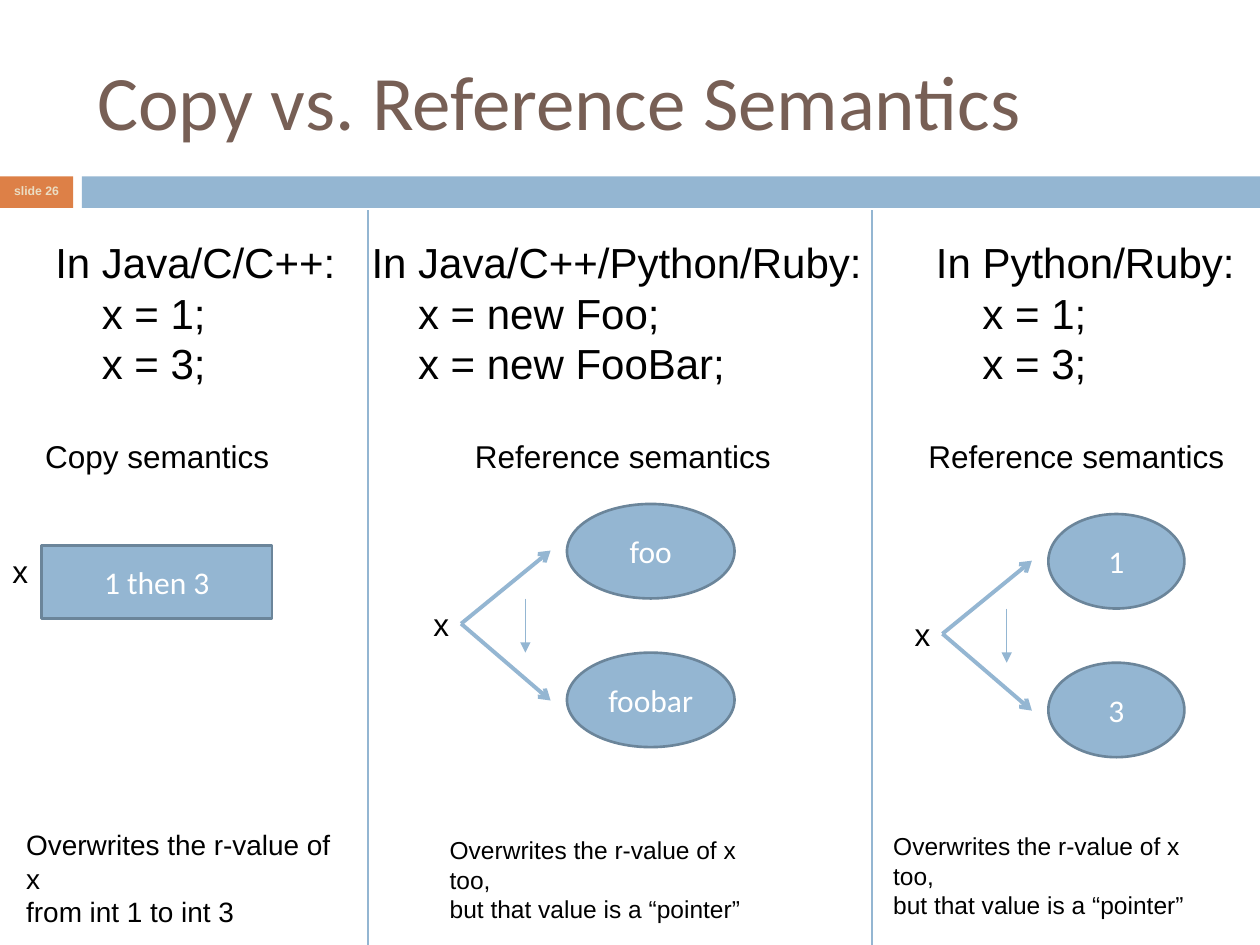
from lxml import etree
from pptx import Presentation
from pptx.dml.color import RGBColor
from pptx.enum.shapes import MSO_CONNECTOR, MSO_SHAPE
from pptx.enum.text import MSO_ANCHOR, MSO_AUTO_SIZE, PP_ALIGN
from pptx.oxml.ns import qn
from pptx.util import Inches, Pt

RECTANGLE, OVAL = MSO_SHAPE.RECTANGLE, MSO_SHAPE.OVAL
STRAIGHT = MSO_CONNECTOR.STRAIGHT
LEFT, CENTER = PP_ALIGN.LEFT, PP_ALIGN.CENTER
MIDDLE = MSO_ANCHOR.MIDDLE
GROW, FIXED = MSO_AUTO_SIZE.SHAPE_TO_FIT_TEXT, MSO_AUTO_SIZE.NONE

BLUE, OUTLINE, ORANGE = "94B6D2", "6B859A", "DD8047"
BROWN, SAND, BLACK, WHITE = "775F55", "EBDDC3", "000000", "FFFFFF"

TITLE_FONT = {"name": "Calibri", "size": Pt(44)}
NUMBER_FONT = {"name": "Arial", "size": Pt(7), "bold": True}
NODE_FONT = {"name": "Calibri", "size": Pt(18)}


def color(value):
    return RGBColor.from_string(value)


def write(frame, lines, font, ink, align=LEFT):
    """Put one paragraph per line into a text frame."""
    for index, line in enumerate(lines):
        para = frame.add_paragraph() if index else frame.paragraphs[0]
        para.alignment = align
        span = para.add_run()
        span.text = line
        for name, value in font.items():
            setattr(span.font, name, value)
        span.font.color.rgb = color(ink)


def add_title(page, text):
    title = page.shapes.title
    title.left, title.top = Inches(0.67), Inches(0.25)
    title.width, title.height = Inches(8.92), Inches(1.08)
    title.text_frame.auto_size = FIXED
    title.text_frame.vertical_anchor = MIDDLE
    write(title.text_frame, [text], TITLE_FONT, BROWN)


def add_label(page, left, top, width, height, size, *lines):
    box = page.shapes.add_textbox(
        Inches(left), Inches(top), Inches(width), Inches(height))
    box.text_frame.word_wrap = False
    box.text_frame.auto_size = GROW
    write(box.text_frame, lines, {"name": "Arial", "size": Pt(size)}, BLACK)


def add_block(page, kind, left, top, width, height, fill, outline=None):
    block = page.shapes.add_shape(
        kind, Inches(left), Inches(top), Inches(width), Inches(height))
    block.shadow.inherit = False
    block.fill.solid()
    block.fill.fore_color.rgb = color(fill)
    if outline:
        block.line.color.rgb = color(outline)
        block.line.width = Pt(1.5)
    else:
        block.line.fill.background()
    return block


def add_node(page, kind, left, top, width, height, text):
    node = add_block(page, kind, left, top, width, height, BLUE, OUTLINE)
    node.text_frame.vertical_anchor = MIDDLE
    write(node.text_frame, [text], NODE_FONT, WHITE, CENTER)


def add_line(page, start, end, weight, head=None):
    line = page.shapes.add_connector(
        STRAIGHT, *(Inches(value) for value in (*start, *end)))
    line.line.color.rgb = color(BLUE)
    line.line.width = Pt(weight)
    if head:
        stroke = line.line._get_or_add_ln()
        etree.SubElement(stroke, qn("a:tailEnd"), type=head)
    etree.SubElement(line._element.spPr, qn("a:effectLst"))


def add_band(page):
    """Slide number tab and the bar beside it."""
    add_block(page, RECTANGLE, 0, 1.4, 0.58, 0.25, ORANGE)
    add_block(page, RECTANGLE, 0.65, 1.4, 9.35, 0.25, BLUE)
    box = page.shapes.add_textbox(0, Inches(1.39), Inches(0.58), Inches(0.27))
    box.text_frame.word_wrap = True
    box.text_frame.vertical_anchor = MIDDLE
    write(box.text_frame, ["slide 26"], NUMBER_FONT, SAND, CENTER)
    box.text_frame.paragraphs[0].line_spacing = 0.8


def add_references(page, left, top, node_width, before, after):
    """Variable x pointing first at one object, then at another."""
    step = 1.18
    origin = (left + 0.32, top + 0.95)
    add_label(page, left, top + 0.75, 0.32, 0.4, 18, "x")
    for text, offset, tip in ((before, 0, 0.37), (after, step, 1.56)):
        add_node(page, OVAL, left + 1.16, top + offset, node_width, 0.75, text)
        add_line(page, origin, (left + 1.03, top + tip), 2.25, "arrow")
    middle = left + 0.83
    add_line(page, (middle, top + 0.75), (middle, top + step), 0.79, "triangle")


def main():
    deck = Presentation()
    deck.slide_width, deck.slide_height = Inches(10), Inches(7.5)
    page = deck.slides.add_slide(deck.slide_layouts[5])
    add_band(page)
    add_title(page, "Copy vs. Reference Semantics")

    # Column dividers
    for x in (2.92, 6.92):
        add_line(page, (x, 1.67), (x, 7.5), 0.79)

    # Code samples
    for left, width, *lines in (
        (0.34, 2.42, "In Java/C/C++:", "    x = 1;", "    x = 3;"),
        (2.85, 4.09, "In Java/C++/Python/Ruby:",
         "    x = new Foo;", "    x = new FooBar;"),
        (7.33, 2.57, "In Python/Ruby:", "    x = 1;", "    x = 3;"),
    ):
        add_label(page, left, 1.83, width, 1.3, 24, *lines)

    # Kinds of semantics
    for left, width, text in (
        (0.26, 1.98, "Copy semantics"),
        (3.67, 2.55, "Reference semantics"),
        (7.27, 2.55, "Reference semantics"),
    ):
        add_label(page, left, 3.42, width, 0.4, 18, text)

    # Diagrams
    add_label(page, 0, 4.33, 0.32, 0.4, 18, "x")
    add_node(page, RECTANGLE, 0.33, 4.33, 1.83, 0.58, "1 then 3")
    add_references(page, 3.34, 4, 1.33, "foo", "foobar")
    add_references(page, 7.16, 4.08, 1.08, "1", "3")

    # Explanations
    add_label(page, 0.11, 6.52, 2.78, 0.64, 16,
              "Overwrites the r-value of x", "from int 1 to int 3")
    for left, top in ((3.47, 6.58), (6.99, 6.55)):
        add_label(page, left, top, 2.85, 0.57, 14,
                  "Overwrites the r-value of x too,",
                  "but that value is a “pointer”")

    deck.save("out.pptx")


if __name__ == "__main__":
    main()
